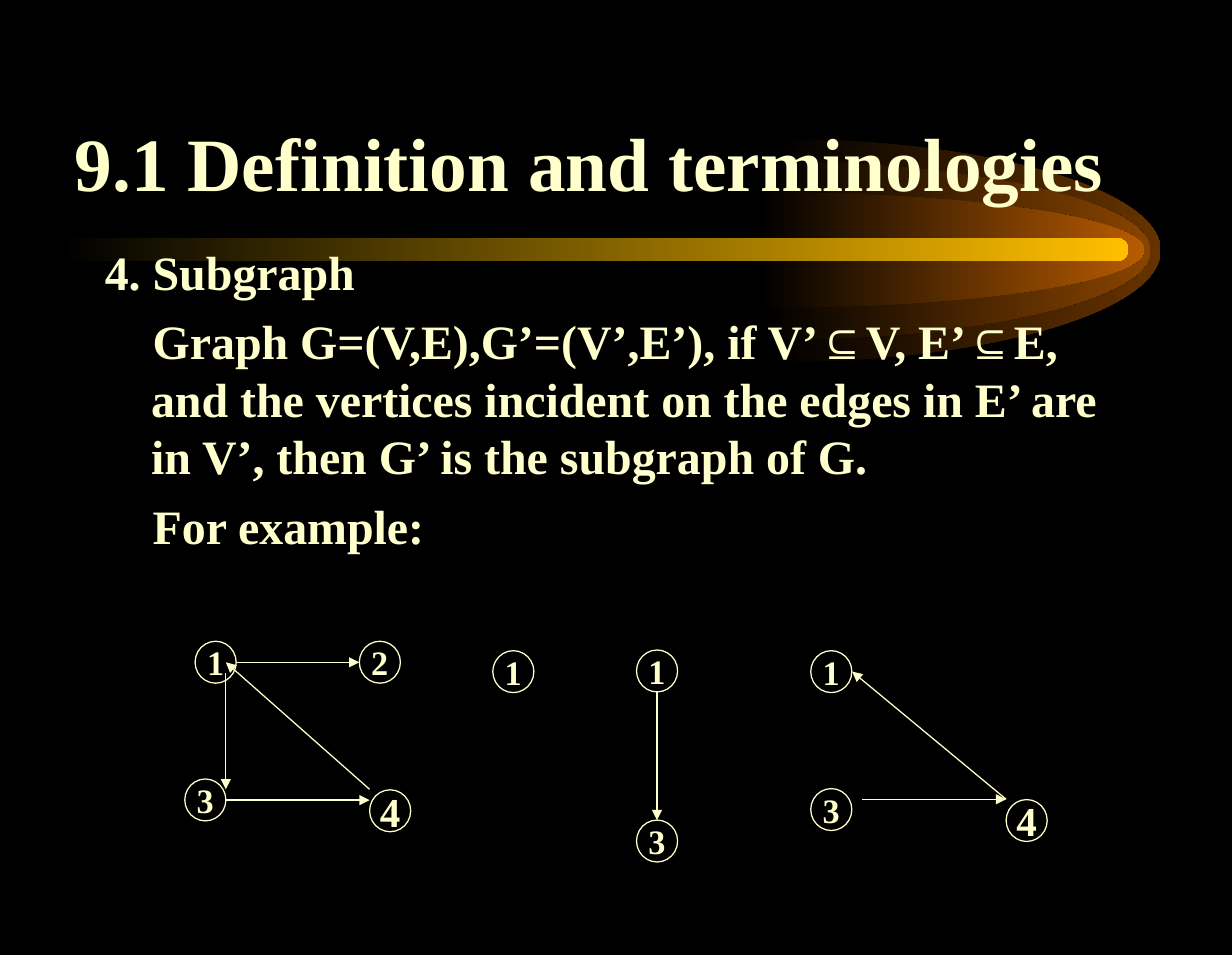
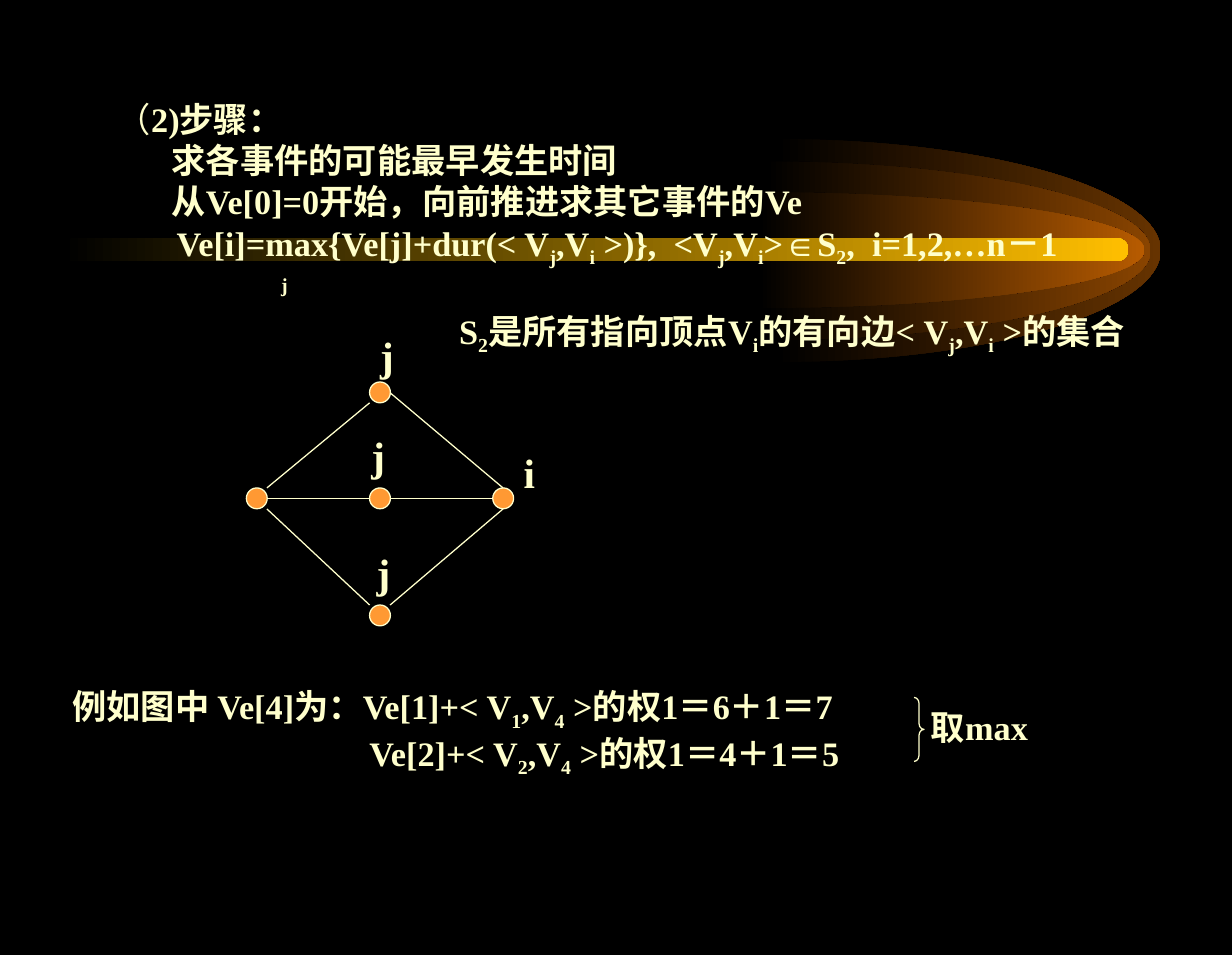
from dataclasses import dataclass

from pptx import Presentation
from pptx.dml.color import RGBColor
from pptx.enum.shapes import MSO_CONNECTOR as Connector, MSO_SHAPE as Preset
from pptx.enum.text import MSO_ANCHOR as Anchor, MSO_AUTO_SIZE as AutoSize, PP_ALIGN as Align
from pptx.oxml.ns import qn
from pptx.oxml.xmlchemy import OxmlElement
from pptx.util import Pt

COLORS = {
    "background": "000000",
    "text": "FFFFCC",
    "dot": "FF9933",
    "bar": "FFBF00",
    "outer glow": "663300",
    "middle glow": "894400",
    "inner glow": "B75B00",
}
TEXT_FONT, SYMBOL_FONT = "Times New Roman", "Arial"
SYMBOLS = "⊆∈"
BASELINES = {"_": "-25000", "^": "30000"}
SUBSCRIPT_ROOM = 3.4
NODE_SIZE = (24, 24.5)
DOT_SIZE = 12.2
LINE_WIDTH = 0.75
ARC_CONTROL = 0.55


@dataclass
class Glow:
    color: str
    left: float
    top: float
    height: float
    width: float = 225.4


@dataclass
class Line:
    """A paragraph; "_" lowers and "^" raises the next character."""
    text: str
    margin: float = 0
    first_indent: float = 0
    before: float = 0


@dataclass
class Node:
    label: str
    left: float
    top: float
    size: float = 20


@dataclass
class Edge:
    start: tuple[float, float]
    end: tuple[float, float]


@dataclass
class Label:
    text: str
    left: float
    top: float
    width: float = 22.3


GLOWS = [
    Glow("outer glow", 452.9, 81.2, 130.3),
    Glow("middle glow", 447.1, 94.3, 104.4),
    Glow("inner glow", 443.5, 112.3, 67.7),
]


def rgb(name: str) -> RGBColor:
    return RGBColor.from_string(COLORS[name])


# Text
def add_runs(paragraph, text: str) -> None:
    pieces: list[list[str]] = []
    mark = ""
    for character in text:
        if character in BASELINES:
            mark = character
            continue
        kind = mark or ("symbol" if character in SYMBOLS else "")
        if pieces and pieces[-1][0] == kind:
            pieces[-1][1] += character
        else:
            pieces.append([kind, character])
        mark = ""
    for kind, piece in pieces:
        run = paragraph.add_run()
        run.text = piece
        if kind == "symbol":
            run.font.name = SYMBOL_FONT
        elif kind:
            run.font._element.set("baseline", BASELINES[kind])


def write(shape, lines: list[Line], size: float, align=Align.LEFT) -> None:
    frame = shape.text_frame
    for index, line in enumerate(lines):
        paragraph = frame.paragraphs[0] if index == 0 else frame.add_paragraph()
        properties = paragraph._p.get_or_add_pPr()
        properties.set("marL", str(Pt(line.margin)))
        properties.set("indent", str(Pt(line.first_indent)))
        paragraph.alignment = align
        paragraph.line_spacing = Pt(1.2 * size + SUBSCRIPT_ROOM * ("_" in line.text))
        if line.before:
            paragraph.space_before = Pt(line.before)
        add_runs(paragraph, line.text)
        font = paragraph.font
        font.name, font.size, font.bold = TEXT_FONT, Pt(size), True
        font.color.rgb = rgb("text")


def add_text(slide, box: tuple[float, float, float, float], lines: list[Line],
             size: float, wrap: bool = False, align=Align.LEFT, anchor=Anchor.TOP):
    shape = slide.shapes.add_textbox(*map(Pt, box))
    frame = shape.text_frame
    frame.word_wrap = wrap
    frame.auto_size = AutoSize.NONE if wrap else AutoSize.SHAPE_TO_FIT_TEXT
    frame.vertical_anchor = anchor
    write(shape, lines, size, align)
    return shape


# Shapes and lines
def fill_gradient(shape, color: str) -> None:
    shape.shadow.inherit = False
    shape.line.fill.background()
    shape.fill.gradient()
    shape.fill.gradient_angle = 0
    for stop, name in zip(shape.fill.gradient_stops, ("background", color)):
        stop.color.rgb = rgb(name)


def add_outlined(slide, preset, left: float, top: float, width: float, height: float,
                 fill: str = ""):
    shape = slide.shapes.add_shape(preset, Pt(left), Pt(top), Pt(width), Pt(height))
    shape.shadow.inherit = False
    if fill:
        shape.fill.solid()
        shape.fill.fore_color.rgb = rgb(fill)
    else:
        shape.fill.background()
    shape.line.color.rgb = rgb("text")
    shape.line.width = Pt(LINE_WIDTH)
    return shape


def add_node(slide, node: Node) -> None:
    shape = add_outlined(slide, Preset.OVAL, node.left, node.top, *NODE_SIZE)
    shape.text_frame.word_wrap = False
    shape.text_frame.vertical_anchor = Anchor.MIDDLE
    write(shape, [Line(node.label)], node.size, Align.CENTER)


def add_edge(slide, edge: Edge, arrow: bool) -> None:
    connector = slide.shapes.add_connector(
        Connector.STRAIGHT, *map(Pt, edge.start + edge.end))
    connector.line.color.rgb = rgb("text")
    connector.line.width = Pt(LINE_WIDTH)
    properties = connector._element.spPr
    if arrow:
        head = OxmlElement("a:tailEnd")
        head.set("type", "triangle")
        properties.find(qn("a:ln")).append(head)
    properties.append(OxmlElement("a:effectLst"))


# Shared backdrop: black page with a comet
def bend(segment, controls: list[tuple[float, float]]) -> None:
    """Turn a straight outline segment into a curve."""
    segment.tag = qn("a:cubicBezTo")
    for index, (x, y) in enumerate(controls):
        point = OxmlElement("a:pt")
        point.set("x", str(Pt(x)))
        point.set("y", str(Pt(y)))
        segment.insert(index, point)


def add_glow(slide, glow: Glow) -> None:
    width, radius = glow.width, glow.height / 2
    middle, bottom = glow.top + radius, glow.top + glow.height
    builder = slide.shapes.build_freeform(Pt(glow.left), Pt(glow.top), scale=1.0)
    builder.add_line_segments([
        (Pt(glow.left + width), Pt(middle)),
        (Pt(glow.left), Pt(bottom)),
        (Pt(glow.left), Pt(middle)),
    ], close=True)
    shape = builder.convert_to_shape()
    upper, lower = list(shape._element.iter(qn("a:lnTo")))[:2]
    reach, rise = ARC_CONTROL * width, ARC_CONTROL * radius
    bend(upper, [(reach, 0), (width, radius - rise)])
    bend(lower, [(width, radius + rise), (reach, glow.height)])
    fill_gradient(shape, glow.color)


def add_comet_slide(presentation):
    slide = presentation.slides.add_slide(presentation.slide_layouts[6])
    slide.background.fill.solid()
    slide.background.fill.fore_color.rgb = rgb("background")
    for glow in GLOWS:
        add_glow(slide, glow)
    bar = slide.shapes.add_shape(
        Preset.ROUNDED_RECTANGLE, Pt(36), Pt(139), Pt(623.5), Pt(13.7))
    bar.adjustments[0] = 0.5
    fill_gradient(bar, "bar")
    return slide


# Slide 1: subgraphs
def build_subgraph_slide(presentation) -> None:
    slide = add_comet_slide(presentation)
    add_text(slide, (22.7, 31.5, 643.7, 92.9), [Line("9.1 Definition and terminologies")],
             44, wrap=True, align=Align.CENTER, anchor=Anchor.BOTTOM)
    add_text(slide, (54.2, 138.2, 612, 372.2), [
        Line("4. Subgraph", 27, -27),
        Line("Graph G=(V,E),G’=(V’,E’), if V’⊆V, E’⊆E, and the vertices incident "
             "on the edges in E’ are in V’, then G’ is the subgraph of G.", 27, 1, 7),
        Line("For example:", 27, 1, 7),
    ], 28, wrap=True)

    nodes = [
        # Whole graph
        Node("1", 114, 374.7), Node("3", 108, 455.2),
        Node("4", 216, 461.5, 24), Node("2", 210, 374.7),
        # Its subgraphs
        Node("1", 288, 380.2),
        Node("1", 372, 379.8), Node("3", 372, 479.2),
        Node("3", 473.8, 460.8), Node("1", 473.8, 380.2), Node("4", 588, 467.2, 24),
    ]
    edges = [
        Edge((138, 387), (210, 387)),
        Edge((132, 393), (132, 461.2)),
        Edge((132, 467.5), (216, 467.5)),
        Edge((216, 461.2), (132, 387)),
        Edge((384, 404.5), (384, 479.2)),
        Edge((504, 467), (588, 467)),
        Edge((588, 467), (498, 392.4)),
    ]
    for node in nodes:
        add_node(slide, node)
    for edge in edges:
        add_edge(slide, edge, arrow=True)


# Slide 2: earliest event times
def build_event_slide(presentation) -> None:
    slide = add_comet_slide(presentation)

    # Worked example
    add_text(slide, (35.3, 396.7, 515.5, 61.9), [
        Line("例如图中 Ve[4]为：Ve[1]+< V_1,V_4 >的权1＝6＋1＝7"),
        Line("Ve[2]+< V_2,V_4 >的权1＝4＋1＝5", 173.5),
    ], 20)
    brace = add_outlined(slide, Preset.RIGHT_BRACE, 534.2, 407.5, 5.8, 37.4)
    brace.adjustments[0] = 0.6
    add_text(slide, (536.9, 409, 80, 31.7), [Line("取max")], 20)

    # Diamond of events
    for left, top in [(144, 285.1), (216, 223.2), (216, 285.1), (216, 353.5), (288, 285.1)]:
        add_outlined(slide, Preset.OVAL, left, top, DOT_SIZE, DOT_SIZE, "dot")
    edges = [
        Edge((156, 291.3), (216, 291.3)),
        Edge((228, 291.3), (288, 291.3)),
        Edge((156, 285.1), (216, 235.4)),
        Edge((228, 229.5), (294, 285.1)),
        Edge((156, 297.4), (216, 353.5)),
        Edge((228, 353.5), (294, 297.4)),
    ]
    for edge in edges:
        add_edge(slide, edge, arrow=False)
    labels = [Label("j", 215, 189.4), Label("j", 210, 247.7),
              Label("j", 213, 316.1), Label("i", 299, 257.8, 20.9)]
    for label in labels:
        add_text(slide, (label.left, label.top, label.width, 36), [Line(label.text)], 24)

    # Steps
    steps = add_text(slide, (61.2, 54, 627.8, 157.7), [
        Line("（"),
        Line("求各事件的可能最早发生时间", 32),
        Line("从Ve[0]=0开始，向前推进求其它事件的Ve", 32),
        Line("Ve[i]=max{Ve[j]+dur(< V_j,V_i >)},  <V_j,V_i>∈S_2,  i=1,2,…n－1", 35),
        Line("^j", 96),
        Line("S_2是所有指向顶点V_i的有向边< V_j,V_i >的集合", 200),
    ], 20)
    heading = steps.text_frame.paragraphs[0]
    heading.runs[0].font.bold = False
    add_runs(heading, "2)步骤：")


def main() -> None:
    presentation = Presentation()
    presentation.slide_width, presentation.slide_height = Pt(720), Pt(558)
    build_subgraph_slide(presentation)
    build_event_slide(presentation)
    presentation.save("out.pptx")


if __name__ == "__main__":
    main()
